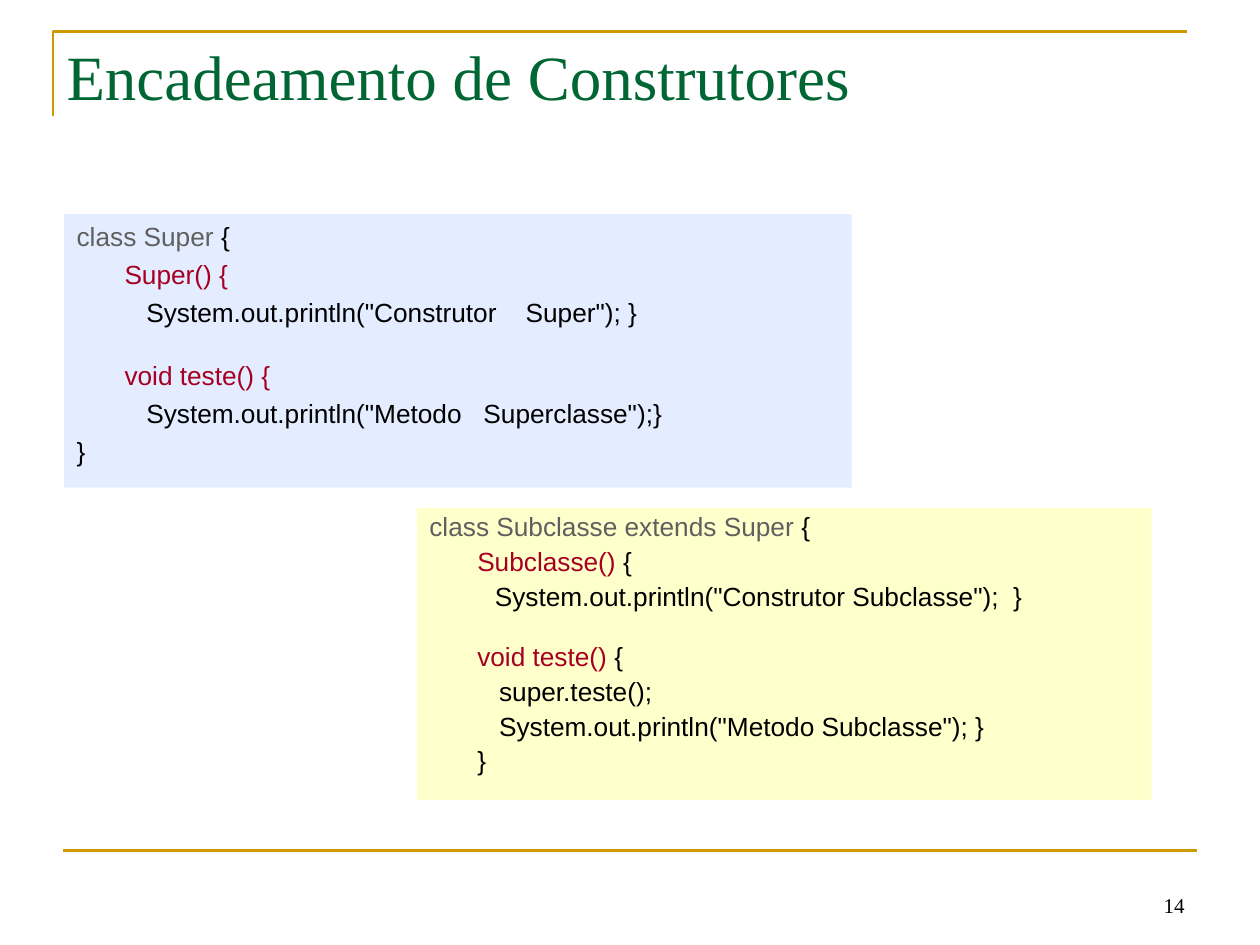
from pptx import Presentation
from pptx.dml.color import RGBColor
from pptx.enum.shapes import MSO_CONNECTOR, MSO_SHAPE
from pptx.enum.text import MSO_ANCHOR, PP_ALIGN
from pptx.oxml.ns import qn
from pptx.util import Inches, Pt

LINE, RECT = MSO_CONNECTOR.STRAIGHT, MSO_SHAPE.RECTANGLE
TOP, BOTTOM = MSO_ANCHOR.TOP, MSO_ANCHOR.BOTTOM
LEFT, RIGHT = PP_ALIGN.LEFT, PP_ALIGN.RIGHT
HUES = {"gold": "CC9900", "green": "006633", "black": "000000", "gray": "5F5F5F",
        "red": "A50021", "blue": "E4EDFF", "cream": "FFFFCC"}
SERIF, SANS = "Times New Roman", "Arial"

LABELS = [
    ("Encadeamento de Construtores", (0.43, 0.25, 8.94, 0.85), 36, "green", TOP, LEFT),
    ("14", (7.17, 6.83, 2.33, 0.5), 12, "black", BOTTOM, RIGHT),
]
SUPER = [
    [("class Super", "gray"), (" {", "black")],
    [("\tSuper() {", "red")],
    [("\t   System.out.println(\"Construtor    Super\"); }", "black")],
    [("\tvoid teste() {", "red")],
    [("\t   System.out.println(\"Metodo   Superclasse\");}", "black")],
    [("}", "black")],
]
SUB = [
    [("class Subclasse extends Super", "gray"), (" {", "black")],
    [("\tSubclasse()", "red"), (" {", "black")],
    [("         System.out.println(\"Construtor Subclasse\");  }", "black")],
    [("\tvoid teste()", "red"), (" {", "black")],
    [("\t   super.teste();", "black")],
    [("\t   System.out.println(\"Metodo Subclasse\"); }", "black")],
    [("\t}", "black")],
]
PANELS = [
    (SUPER, (0.51, 1.7, 6.25, 2.17), "blue", 1.0),
    (SUB, (3.31, 4.03, 5.83, 2.32), "cream", 0.9),
]
BREAK, GAP, WIDE = 3, 3.7, 18
INDENT = Inches(0.38)


def color(name):
    return RGBColor.from_string(HUES[name])


def add_run(para, text, face, size, hue):
    run = para.add_run()
    run.text = text
    run.font.name = face
    run.font.size = Pt(size)
    run.font.color.rgb = color(hue)


def stroke(line):
    line.color.rgb = color("gold")
    line.width = Pt(1.5)


def add_rules(shapes):
    pen = shapes.build_freeform(Inches(0.42), Inches(0.92), scale=1.0)
    pen.add_line_segments([(Inches(0.42), Inches(0.25)), (Inches(9.42), Inches(0.25))],
                          close=False)
    frame = pen.convert_to_shape()
    frame.shadow.inherit = False
    frame.fill.background()
    stroke(frame.line)
    rule = shapes.add_connector(LINE, Inches(0.5), Inches(6.75), Inches(9.5), Inches(6.75))
    stroke(rule.line)
    props = rule._element.spPr
    props.append(props.makeelement(qn("a:effectLst"), {}))


def add_label(shapes, text, area, size, hue, anchor, align):
    frame = shapes.add_textbox(*map(Inches, area)).text_frame
    frame.word_wrap = True
    frame.vertical_anchor = anchor
    para = frame.paragraphs[0]
    para.alignment = align
    add_run(para, text, SERIF, size, hue)


def add_panel(shapes, code, area, fill, pitch):
    panel = shapes.add_shape(RECT, *map(Inches, area))
    panel.shadow.inherit = False
    panel.fill.solid()
    panel.fill.fore_color.rgb = color(fill)
    panel.line.fill.background()
    frame = panel.text_frame
    frame.word_wrap = True
    frame.vertical_anchor = TOP
    for row, parts in enumerate(code):
        para = frame.add_paragraph() if row else frame.paragraphs[0]
        para.alignment = LEFT
        para.line_spacing = pitch
        if row:
            para.space_before = Pt(WIDE if row == BREAK else GAP)
        props = para._p.get_or_add_pPr()
        props.set("marL", str(INDENT))
        props.set("indent", str(-INDENT))
        for text, hue in parts:
            add_run(para, text, SANS, 15, hue)


def main():
    deck = Presentation()
    deck.slide_width, deck.slide_height = Inches(10), Inches(7.5)
    shapes = deck.slides.add_slide(deck.slide_layouts[6]).shapes
    add_rules(shapes)
    for panel in PANELS:
        add_panel(shapes, *panel)
    for label in LABELS:
        add_label(shapes, *label)
    deck.save("out.pptx")


if __name__ == "__main__":
    main()
